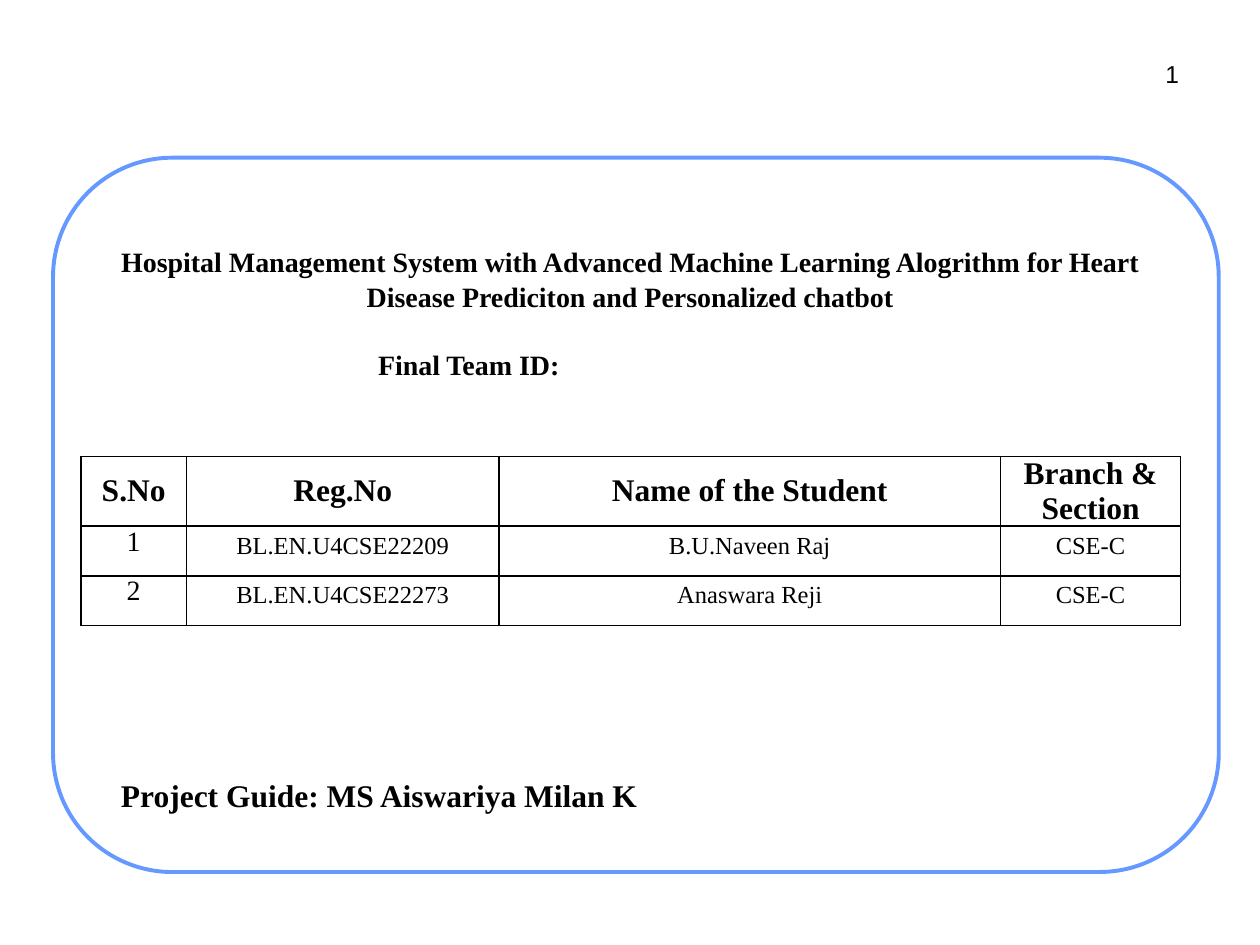
from lxml import etree
from pptx import Presentation
from pptx import util as u
from pptx.dml.color import RGBColor
from pptx.enum import shapes, text
from pptx.oxml.ns import qn

COLORS = {"white": "FFFFFF", "black": "000000", "frame": "6699FF"}
SERIF = "Times New Roman"
PAD = u.Cm(0.13)


def add_run(p, words, size, bold=False, font=SERIF):
    r = p.add_run()
    r.text = words
    r.font.name, r.font.size, r.font.bold = font, u.Pt(size), bold
    r.font.color.rgb = RGBColor.from_string(COLORS["black"])


def set_frame(tf, wrap=True):
    tf.word_wrap = wrap
    tf.margin_left = tf.margin_right = tf.margin_top = tf.margin_bottom = PAD


prs = Presentation()
prs.slide_width, prs.slide_height = u.Cm(25.4), u.Cm(19.05)
s = prs.slides.add_slide(prs.slide_layouts[5])

# Rounded frame and white header strip
for kind, box, line, width in [
    (shapes.MSO_SHAPE.ROUNDED_RECTANGLE, (1.07, 3.18, 23.5, 14.4), "frame", 2.25),
    (shapes.MSO_SHAPE.RECTANGLE, (3.61, 0.84, 19.05, 1.27), "white", 0.75),
]:
    sp = s.shapes.add_shape(kind, *[u.Cm(v) for v in box])
    sp.shadow.inherit = False
    sp.fill.solid()
    sp.fill.fore_color.rgb = RGBColor.from_string(COLORS["white"])
    sp.line.color.rgb = RGBColor.from_string(COLORS[line])
    sp.line.width = u.Pt(width)

# Slide number
sp = s.shapes.add_textbox(u.Cm(23.34), u.Cm(1.07), u.Cm(0.56), u.Cm(0.81))
set_frame(sp.text_frame, wrap=False)
p = sp.text_frame.paragraphs[0]
p.alignment = text.PP_ALIGN.RIGHT
add_run(p, "1", 14, font="Arial")

# Title, raised above the frame
title = s.shapes.title
s.shapes._spTree.append(title._element)
title.left, title.top = u.Cm(2.01), u.Cm(3.63)
title.width, title.height = u.Cm(21.39), u.Cm(5.31)
tf = title.text_frame
set_frame(tf)
tf.auto_size = text.MSO_AUTO_SIZE.NONE
tf.vertical_anchor = text.MSO_ANCHOR.MIDDLE
p = tf.paragraphs[0]
p.alignment = text.PP_ALIGN.CENTER
p.line_spacing = 1.04
add_run(p, "Hospital Management System with Advanced Machine Learning Alogrithm "
           "for Heart Disease Prediciton and Personalized chatbot", 16, True)
p = tf.add_paragraph()
p.alignment = text.PP_ALIGN.LEFT
p.line_spacing = 1.04
p.space_before = u.Pt(19)
p._p.get_or_add_pPr().set("marL", str(u.Cm(5.48)))
add_run(p, "Final Team ID:", 16, True)

# Student table
rows = [
    ("S.No", "Reg.No", "Name of the Student", "Branch & Section"),
    ("1", "BL.EN.U4CSE22209", "B.U.Naveen Raj", "CSE-C"),
    ("2", "BL.EN.U4CSE22273", "Anaswara Reji", "CSE-C"),
]
widths = [2.13, 6.3, 10.11, 3.63]
heights = [1.4, 1, 1]
table = s.shapes.add_table(len(rows), len(widths), u.Cm(1.63), u.Cm(9.2),
                           u.Cm(sum(widths)), u.Cm(sum(heights))).table
for col, width in zip(table.columns, widths):
    col.width = u.Cm(width)
for i, (row, height) in enumerate(zip(rows, heights)):
    table.rows[i].height = u.Cm(height)
    for j, words in enumerate(row):
        cell = table.cell(i, j)
        header = i == 0
        if header or j == 0:
            cell.margin_left = cell.margin_right = 0
            cell.margin_top = cell.margin_bottom = 0
        cell.vertical_anchor = text.MSO_ANCHOR.MIDDLE if header else text.MSO_ANCHOR.TOP
        p = cell.text_frame.paragraphs[0]
        p.alignment = text.PP_ALIGN.CENTER
        add_run(p, words, 18 if header else 16 if j == 0 else 14, header)
        # Black border on every side, listed before the fill
        tcPr = cell._tc.get_or_add_tcPr()
        for side in ("a:lnL", "a:lnR", "a:lnT", "a:lnB"):
            ln = etree.SubElement(tcPr, qn(side), w=str(u.Pt(1)))
            fill = etree.SubElement(ln, qn("a:solidFill"))
            etree.SubElement(fill, qn("a:srgbClr"), val=COLORS["black"])
        cell.fill.background()

# Project guide
sp = s.shapes.add_textbox(u.Cm(2.31), u.Cm(15.52), u.Cm(13.39), u.Cm(2.57))
set_frame(sp.text_frame)
add_run(sp.text_frame.paragraphs[0], "Project Guide: MS Aiswariya Milan K", 18, True)

prs.save("out.pptx")
